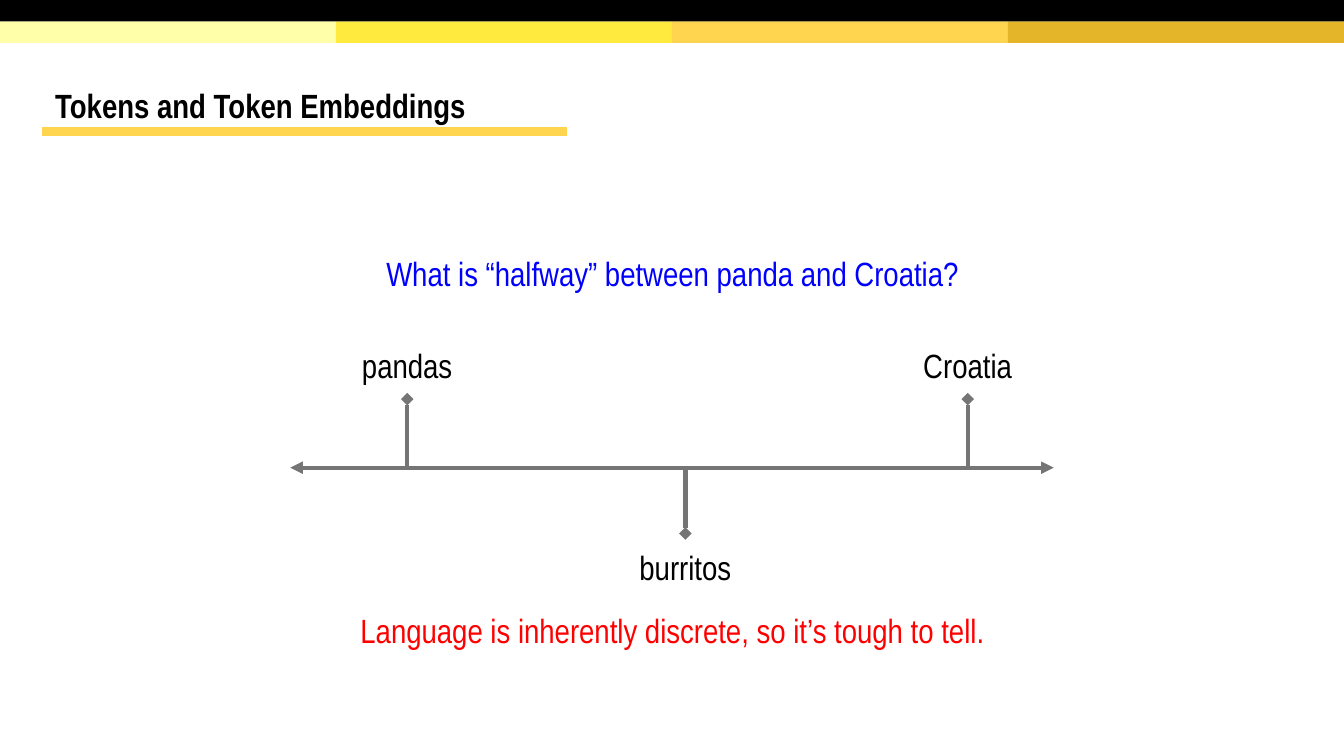
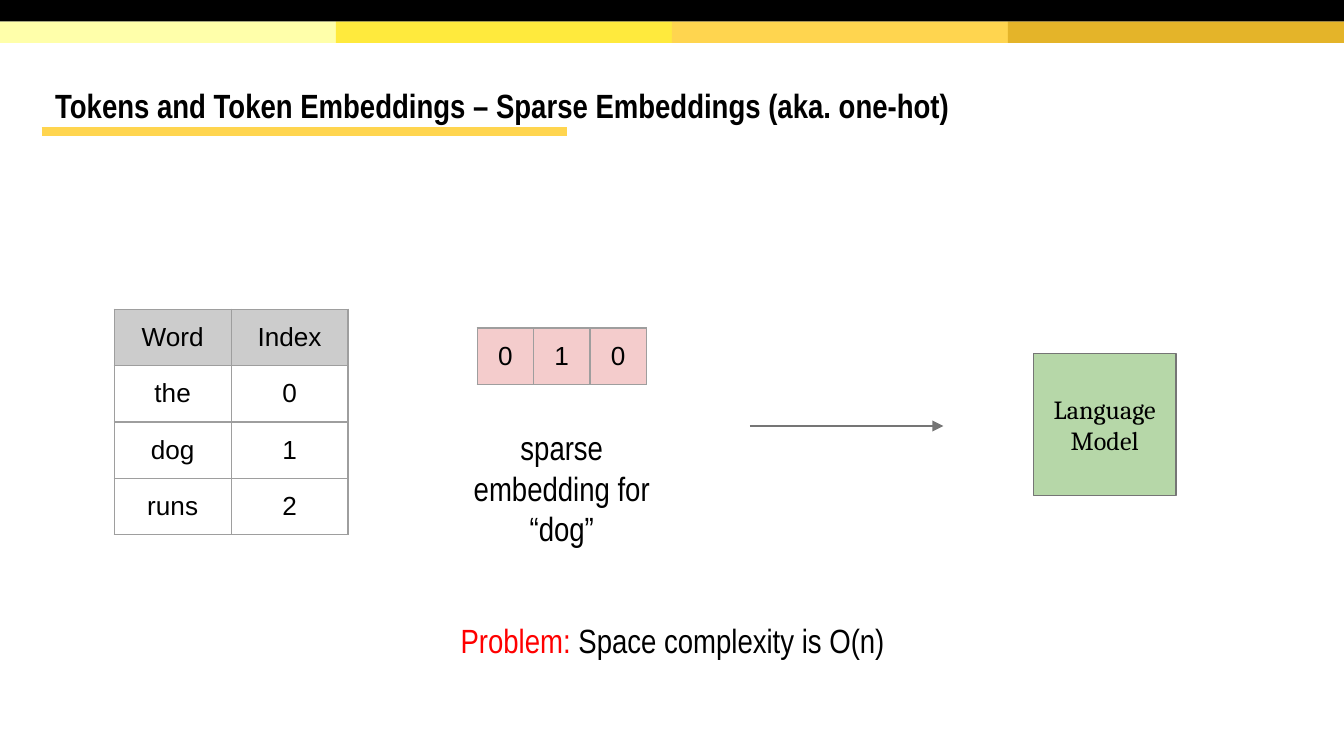
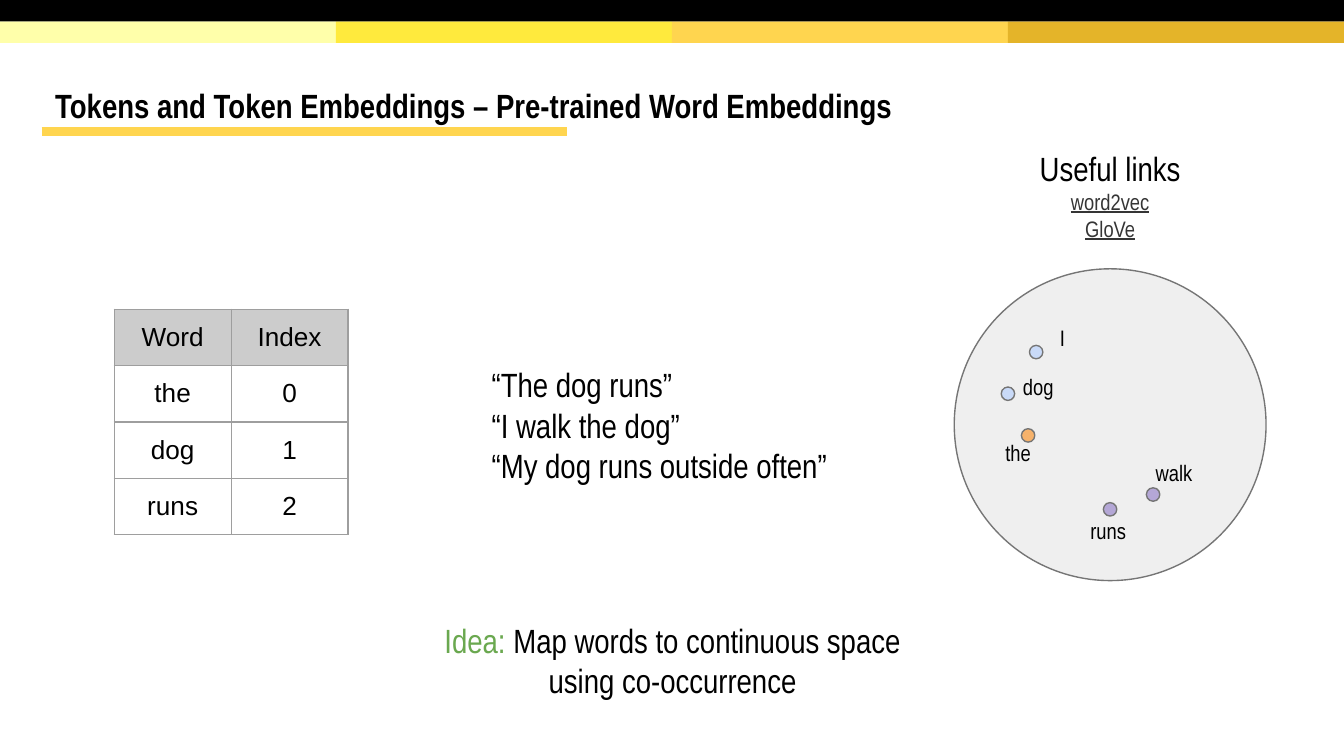
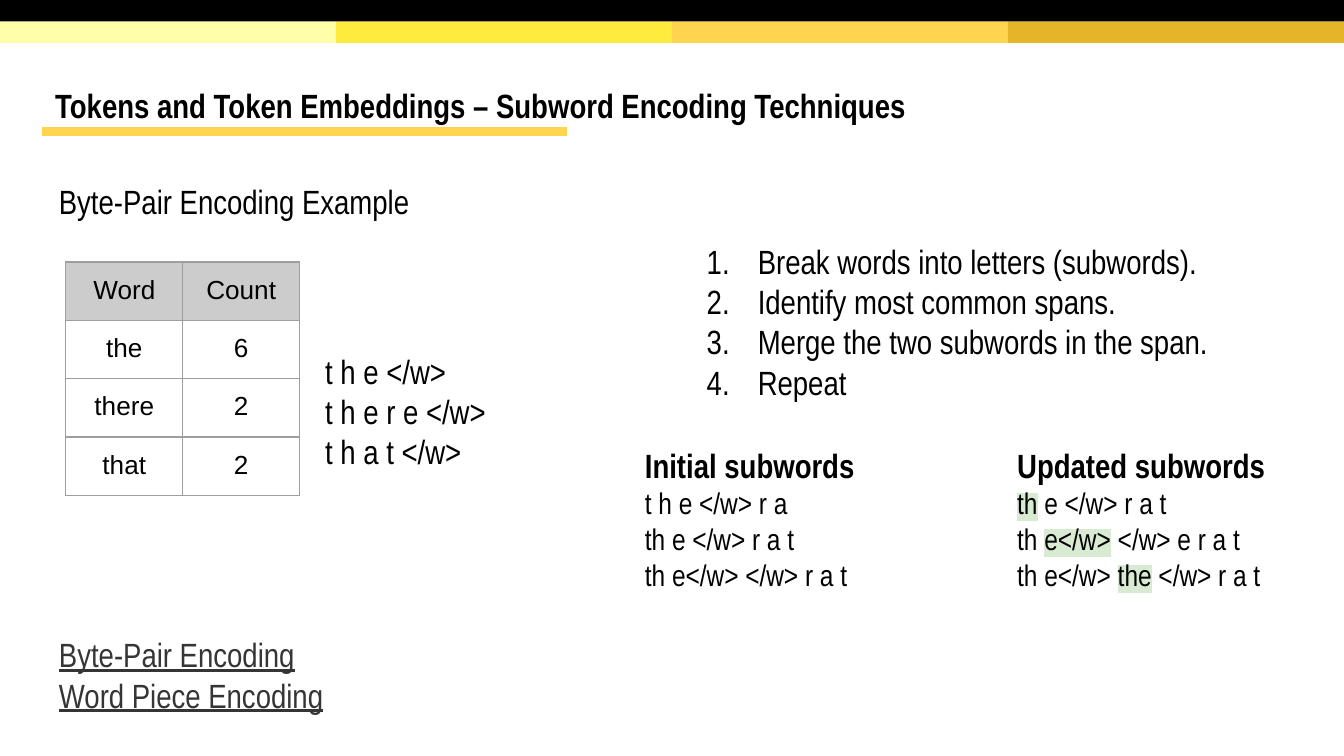
from typing import NamedTuple

from pptx import Presentation
from pptx.dml.color import RGBColor
from pptx.enum.shapes import MSO_CONNECTOR as Connector, MSO_SHAPE as Preset
from pptx.enum.text import MSO_ANCHOR as Anchor, MSO_AUTO_SIZE as AutoSize, PP_ALIGN as Align
from pptx.oxml.ns import qn
from pptx.util import Inches, Pt
from lxml.etree import SubElement

WIDTH, HEIGHT = Inches(10), Inches(5.625)
COLUMNS = 100

NARROW, SANS, SERIF = "Arial Narrow", "Arial", "Cambria"
BLACK, RED, BLUE, GREEN = "000000", "FF0000", "0000FF", "6AA84F"
LINE, LINK, BORDER = "757575", "353535", "9E9E9E"
HEADER, PINK, MINT, MARK = "CCCCCC", "F4CCCC", "B6D7A8", "D9EAD3"
GOLD = "FFD54F"
BANDS = ["FFFFAA", "FFEA3D", GOLD, "E4B429"]
BAND = 1.6
TOP, LEFT_SIDE, BOTTOM, RIGHT_SIDE = range(4)
TOPIC = "Tokens and Token Embeddings"
WORD_INDEX = [["Word", "Index"], ["the", "0"], ["dog", "1"], ["runs", "2"]]


class Span(NamedTuple):
    text: str
    color: str = BLACK
    size: float = 18
    bold: bool = False
    underline: bool = False
    highlight: str = ""
    font: str = NARROW


def grid(*units):
    return [round(WIDTH * unit / COLUMNS) for unit in units]


def rgb(color):
    return RGBColor.from_string(color)


def add_color(parent, color):
    SubElement(SubElement(parent, qn("a:solidFill")), qn("a:srgbClr"), val=color)


def add_span(para, span):
    run = para.add_run()
    run.text = span.text
    font = run.font
    font.size, font.bold = Pt(span.size), span.bold
    if span.underline:
        font.underline = True
    font.color.rgb = rgb(span.color)
    if span.highlight:
        mark = SubElement(run._r.get_or_add_rPr(), qn("a:highlight"))
        SubElement(mark, qn("a:srgbClr"), val=span.highlight)
    font.name = span.font


def number(para):
    props = para._p.get_or_add_pPr()
    props.set("marL", str(Inches(0.5)))
    props.set("indent", str(Inches(-0.38)))
    color = SubElement(props, qn("a:buClr"))
    SubElement(color, qn("a:srgbClr"), val=BLACK)
    SubElement(props, qn("a:buAutoNum"), type="arabicPeriod")


def write(frame, paragraphs, align=Align.LEFT, numbered=False, margin=1):
    frame.word_wrap = True
    frame.margin_left = frame.margin_right = frame.margin_top = frame.margin_bottom = grid(margin)[0]
    for index, spans in enumerate(paragraphs):
        para = frame.add_paragraph() if index else frame.paragraphs[0]
        para.alignment = align
        if numbered:
            number(para)
        for span in spans:
            add_span(para, span)


def add_text(page, at, *paragraphs, align=Align.LEFT, numbered=False):
    box = page.shapes.add_textbox(*grid(*at))
    write(box.text_frame, paragraphs, align, numbered)
    box.text_frame.auto_size = AutoSize.SHAPE_TO_FIT_TEXT
    return box


def add_centred(page, at, *spans):
    return add_text(page, at, spans, align=Align.CENTER)


def add_figure(page, preset, at, fill, line=LINE):
    figure = page.shapes.add_shape(preset, *grid(*at))
    figure.shadow.inherit = False
    figure.fill.solid()
    figure.fill.fore_color.rgb = rgb(fill)
    if line:
        figure.line.color.rgb = rgb(line)
        figure.line.width = Pt(0.75)
    else:
        figure.line.fill.background()
    return figure


def add_line(page, start, end, width, color=LINE, head="", tail=""):
    line = page.shapes.add_connector(Connector.STRAIGHT, *grid(*start, *end))
    line.line.color.rgb = rgb(color)
    line.line.width = Pt(width)
    outline = line.line._get_or_add_ln()
    for tag, kind in (("a:headEnd", head), ("a:tailEnd", tail)):
        if kind:
            SubElement(outline, qn(tag), type=kind)
    SubElement(line._element.spPr, qn("a:effectLst"))
    return line


def add_borders(cell):
    props = cell._tc.get_or_add_tcPr()
    for index, side in enumerate(("a:lnL", "a:lnR", "a:lnT", "a:lnB")):
        border = props.makeelement(qn(side), {"w": str(Pt(0.75))})
        add_color(border, BORDER)
        props.insert(index, border)


def add_grid_table(page, left, top, rows, column, row, first_fill=HEADER):
    size = len(rows[0]) * column, len(rows) * row
    table = page.shapes.add_table(len(rows), len(rows[0]), *grid(left, top, *size)).table
    table.first_row = table.horz_banding = False
    for table_column in table.columns:
        table_column.width = grid(column)[0]
    for index, words in enumerate(rows):
        table.rows[index].height = grid(row)[0]
        for place, word in enumerate(words):
            cell = table.cell(index, place)
            cell.margin_left = cell.margin_right = cell.margin_top = cell.margin_bottom = grid(1)[0]
            para = cell.text_frame.paragraphs[0]
            para.alignment = Align.CENTER
            add_span(para, Span(word, size=14, font=SANS))
            if index:
                cell.fill.background()
            else:
                cell.fill.solid()
                cell.fill.fore_color.rgb = rgb(first_fill)
            add_borders(cell)


def decorate_layout(page):
    width = COLUMNS / len(BANDS)
    parts = [add_figure(page, Preset.RECTANGLE, (index * width, BAND, width, BAND), fill, None)
             for index, fill in enumerate(BANDS)]
    parts.append(add_figure(page, Preset.RECTANGLE, (0, 0, COLUMNS, BAND), BLACK, None))
    parts.append(add_line(page, (3.1, 9.8), (42.2, 9.8), 4.5, GOLD))
    for part in parts:
        page.slide_layout.element.cSld.spTree.append(part.element)


def add_page(deck, title):
    page = deck.slides.add_slide(deck.slide_layouts[5])
    holder = page.shapes.title
    holder.left, holder.top, holder.width, holder.height = grid(3.4, 4.9, 93.2, 6.3)
    frame = holder.text_frame
    write(frame, [[Span(title, bold=True)]])
    frame.margin_left = frame.margin_right = Inches(0.07)
    frame.margin_top = frame.margin_bottom = Inches(0.04)
    frame.vertical_anchor = Anchor.MIDDLE
    frame.auto_size = AutoSize.NONE
    frame.paragraphs[0].line_spacing = 0.85
    return page


def build_halfway(deck):
    page = add_page(deck, TOPIC)
    decorate_layout(page)
    axis = 34.8
    add_line(page, (21.6, axis), (78.4, axis), 2.25, head="triangle", tail="triangle")
    label_width = 18.6
    for word, center, top, side in (("pandas", 30.3, 24.7, BOTTOM),
                                    ("burritos", 51, 39.7, TOP),
                                    ("Croatia", 72, 24.7, BOTTOM)):
        label = add_centred(page, (center - label_width / 2, top, label_width, 5), Span(word))
        tick = add_line(page, (center, top), (center, axis), 2.25, head="diamond")
        tick.begin_connect(label, side)
    add_centred(page, (23.5, 44.4, 53.1, 5),
                Span("Language is inherently discrete, so it’s tough to tell.", RED))
    add_centred(page, (23.5, 17.8, 53.1, 5),
                Span("What is “halfway” between panda and Croatia?", BLUE))


def build_sparse(deck):
    page = add_page(deck, TOPIC + " – Sparse Embeddings (aka. one-hot)")
    add_grid_table(page, 8.5, 23, WORD_INDEX, 8.7, 4.2)
    add_grid_table(page, 35.5, 24.4, [["0", "1", "0"]], 4.2, 4.2, PINK)
    add_centred(page, (32.7, 30.8, 18.2, 8.1), Span("sparse embedding for “dog”"))
    add_line(page, (55.8, 31.7), (70.2, 31.7), 0.75, tail="triangle")
    model = add_figure(page, Preset.RECTANGLE, (76.9, 26.3, 10.6, 10.6), MINT)
    write(model.text_frame, [[Span("Language Model", size=14, font=SERIF)]], Align.CENTER)
    model.text_frame.vertical_anchor = Anchor.MIDDLE
    add_centred(page, (24.6, 45.1, 50.9, 5),
                Span("Problem:", RED), Span(" Space complexity is O(n)"))


def build_pretrained(deck):
    page = add_page(deck, TOPIC + " – Pre-trained Word Embeddings")
    add_grid_table(page, 8.5, 23, WORD_INDEX, 8.7, 4.2)
    sentences = ["“The dog runs”", "“I walk the dog”", "“My dog runs outside often”"]
    add_text(page, (35.6, 26.1, 31.5, 11.1), *[[Span(sentence)] for sentence in sentences])
    add_centred(page, (30.2, 45.1, 39.7, 8.1), Span("Idea:", GREEN),
                Span(" Map words to continuous space using co-occurrence"))
    add_figure(page, Preset.OVAL, (71, 20, 23.2, 23.2), "EFEFEF")
    pronoun, verb, article = "C9DAF8", "B4A7D6", "F6B26B"
    for word, fill, dot, label in (("I", pronoun, (76.6, 25.7), (76.6, 23.1)),
                                   ("dog", pronoun, (74.5, 28.8), (74.8, 26.8)),
                                   ("the", article, (76, 31.9), (73.3, 31.7)),
                                   ("runs", verb, (82.1, 37.4), (80, 37.5)),
                                   ("walk", verb, (85.3, 36.3), (84.9, 33.2))):
        add_figure(page, Preset.OVAL, (*dot, 1, 1), fill)
        add_centred(page, (*label, 4.9, 4), Span(word, size=12))
    links = [[Span(name, LINK, 12, underline=True)] for name in ("word2vec", "GloVe")]
    add_text(page, (68.2, 10, 28.8, 9.1), [Span("Useful links")], *links, align=Align.CENTER)


def build_subwords(deck):
    page = add_page(deck, TOPIC + " – Subword Encoding Techniques")
    techniques = ["Byte-Pair Encoding", "Word Piece Encoding"]
    add_text(page, (3.4, 46.2, 34.9, 8.1),
             *[[Span(name, LINK, underline=True)] for name in techniques])
    counts = [["Word", "Count"], ["the", "6"], ["there", "2"], ["that", "2"]]
    add_grid_table(page, 4.9, 19.5, counts, 8.7, 4.34)
    splits = ["t h e </w>", "t h e r e </w>", "t h a t </w>"]
    add_text(page, (23.2, 25.1, 18.2, 11.1), *[[Span(split)] for split in splits])
    steps = ["Break words into letters (subwords).", "Identify most common spans.",
             "Merge the two subwords in the span.", "Repeat"]
    add_text(page, (50.4, 16.9, 47.6, 14.1), *[[Span(step)] for step in steps], numbered=True)
    initial = [["t h e </w> r a"], ["th e </w> r a t"], ["th e</w> </w> r a t"]]
    updated = [["*th", " e </w> r a t"], ["th ", "*e</w>", " </w> e r a t"],
               ["th e</w> ", "*the", " </w> r a t"]]
    for left, heading, lines in ((47, "Initial subwords", initial),
                                 (74.7, "Updated subwords", updated)):
        rows = [[Span(piece.lstrip("*"), size=16, highlight=MARK if piece[0] == "*" else "")
                 for piece in line] for line in lines]
        add_text(page, (left, 32.1, 21.2, 13.1), [Span(heading, bold=True)], *rows)
    add_text(page, (3.4, 12.5, 32.6, 5), [Span("Byte-Pair Encoding Example")])


def main():
    deck = Presentation()
    deck.slide_width, deck.slide_height = WIDTH, HEIGHT
    for build in (build_halfway, build_sparse, build_pretrained, build_subwords):
        build(deck)
    deck.save("out.pptx")


if __name__ == "__main__":
    main()
